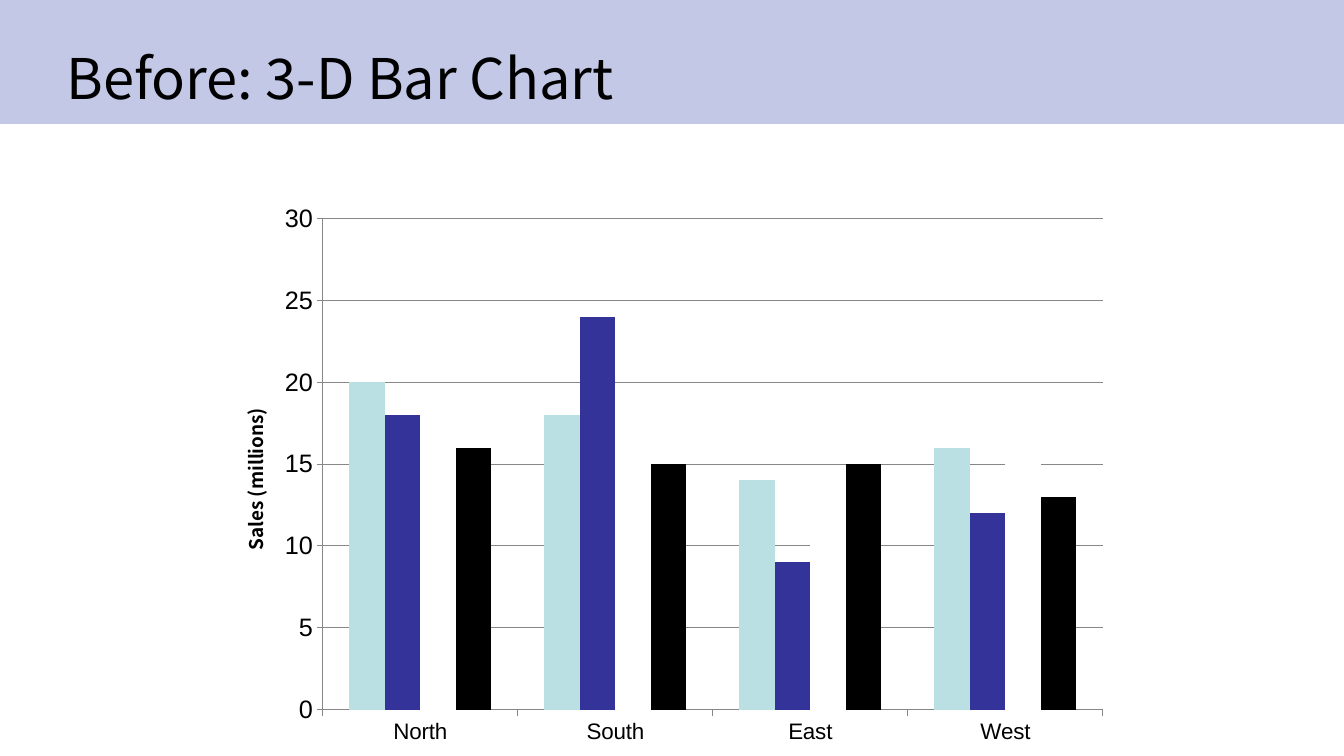
"""Build a slide with a title band and a clustered column chart of regional sales."""
from lxml import etree
from pptx import Presentation
from pptx import util as u
from pptx.chart import data as chart_data
from pptx.dml.color import RGBColor
from pptx.enum import chart as chart_enum, shapes, text
from pptx.oxml import ns

TITLE = "Before: 3-D Bar Chart"
AXIS_TITLE = "Sales (millions)"
REGIONS = ["North", "South", "East", "West"]
SERIES = [
    ("Series 1", (20, 18, 14, 16), "aqua"),
    ("Series 2", (18, 24, 9, 12), "indigo"),
    ("Series 3", (15, 16, 12, 16), "white"),
    ("Series 4", (16, 15, 15, 13), "black"),
]
COLORS = {"band": "C3C8E6", "aqua": "BBE0E3", "indigo": "333399",
          "white": "FFFFFF", "black": "000000", "grid": "878787"}
TITLE_FONT, CHART_FONT = "Noto Sans CJK JP", "Arial"
WIDTH, HEIGHT = 13.33, 7.5
BAND_BOX = (0, 0, WIDTH, 1.23)
TITLE_BOX = (0.56, 0.35, 12.11, 0.82)
CHART_BOX = (2.07, 1.92, 9.06, 5.58)
PLOT_SHARES = {"x": 0.125, "y": 0.044, "w": 0.854, "h": 0.874}
AXIS_TITLE_SHARES = {"x": 0.03, "y": 0.375}


def color(name):
    return RGBColor.from_string(COLORS[name])


def inches(box):
    return [u.Inches(length) for length in box]


def style_font(font, size, name, bold=False):
    font.size, font.name, font.bold = u.Pt(size), name, bold
    font.color.rgb = color("black")


def place(parent, index, shares, inner=False):
    for previous in parent.findall(ns.qn("c:layout")):
        parent.remove(previous)
    layout = etree.Element(ns.qn("c:layout"))
    manual = etree.SubElement(layout, ns.qn("c:manualLayout"))
    settings = [("layoutTarget", "inner")] if inner else []
    settings += [("xMode", "edge"), ("yMode", "edge"), *shares.items()]
    for tag, value in settings:
        etree.SubElement(manual, ns.qn(f"c:{tag}")).set("val", str(value))
    parent.insert(index, layout)


def add_band(slide):
    band = slide.shapes.add_shape(shapes.MSO_SHAPE.RECTANGLE, *inches(BAND_BOX))
    band.shadow.inherit = False
    band.fill.solid()
    band.fill.fore_color.rgb = color("band")
    band.line.fill.background()


def add_title(slide):
    frame = slide.shapes.add_textbox(*inches(TITLE_BOX)).text_frame
    frame.word_wrap = True
    frame.vertical_anchor = text.MSO_ANCHOR.MIDDLE
    run = frame.paragraphs[0].add_run()
    run.text = TITLE
    style_font(run.font, 40, TITLE_FONT)


def add_sales_chart(slide):
    sales = chart_data.CategoryChartData()
    sales.categories = REGIONS
    for name, values, _ in SERIES:
        sales.add_series(name, values)
    chart = slide.shapes.add_chart(
        chart_enum.XL_CHART_TYPE.COLUMN_CLUSTERED, *inches(CHART_BOX), sales).chart
    chart.has_title = chart.has_legend = False
    style_font(chart.font, 10, CHART_FONT)

    plot = chart.plots[0]
    plot.gap_width, plot.overlap, plot.vary_by_categories = 150, 0, False
    for series, (_, _, shade) in zip(plot.series, SERIES):
        series.invert_if_negative = False
        series.format.fill.solid()
        series.format.fill.fore_color.rgb = color(shade)
        series.format.line.fill.background()

    value_axis = chart.value_axis
    value_axis.minimum_scale, value_axis.maximum_scale, value_axis.major_unit = 0, 30, 5
    value_axis.has_major_gridlines = True
    for axis, size in ((chart.category_axis, 16), (value_axis, 18)):
        axis.major_tick_mark = chart_enum.XL_TICK_MARK.OUTSIDE
        style_font(axis.tick_labels.font, size, CHART_FONT)
    for line in (chart.category_axis.format.line, value_axis.format.line,
                 value_axis.major_gridlines.format.line):
        line.color.rgb = color("grid")
        line.width = u.Pt(0.75)

    title = value_axis.axis_title
    frame = title.text_frame
    run = frame.paragraphs[0].add_run()
    run.text = AXIS_TITLE
    style_font(run.font, 13.5, TITLE_FONT, bold=True)
    body = next(title._element.iter(ns.qn("a:bodyPr")))
    body.set("rot", "-5400000")
    body.set("vert", "horz")
    place(title._element, 1, AXIS_TITLE_SHARES)
    place(next(chart._chartSpace.iter(ns.qn("c:plotArea"))), 0, PLOT_SHARES, inner=True)


def main():
    presentation = Presentation()
    presentation.slide_width, presentation.slide_height = inches((WIDTH, HEIGHT))
    slide = presentation.slides.add_slide(presentation.slide_layouts[6])
    add_band(slide)
    add_title(slide)
    add_sales_chart(slide)
    presentation.save("out.pptx")


if __name__ == "__main__":
    main()
